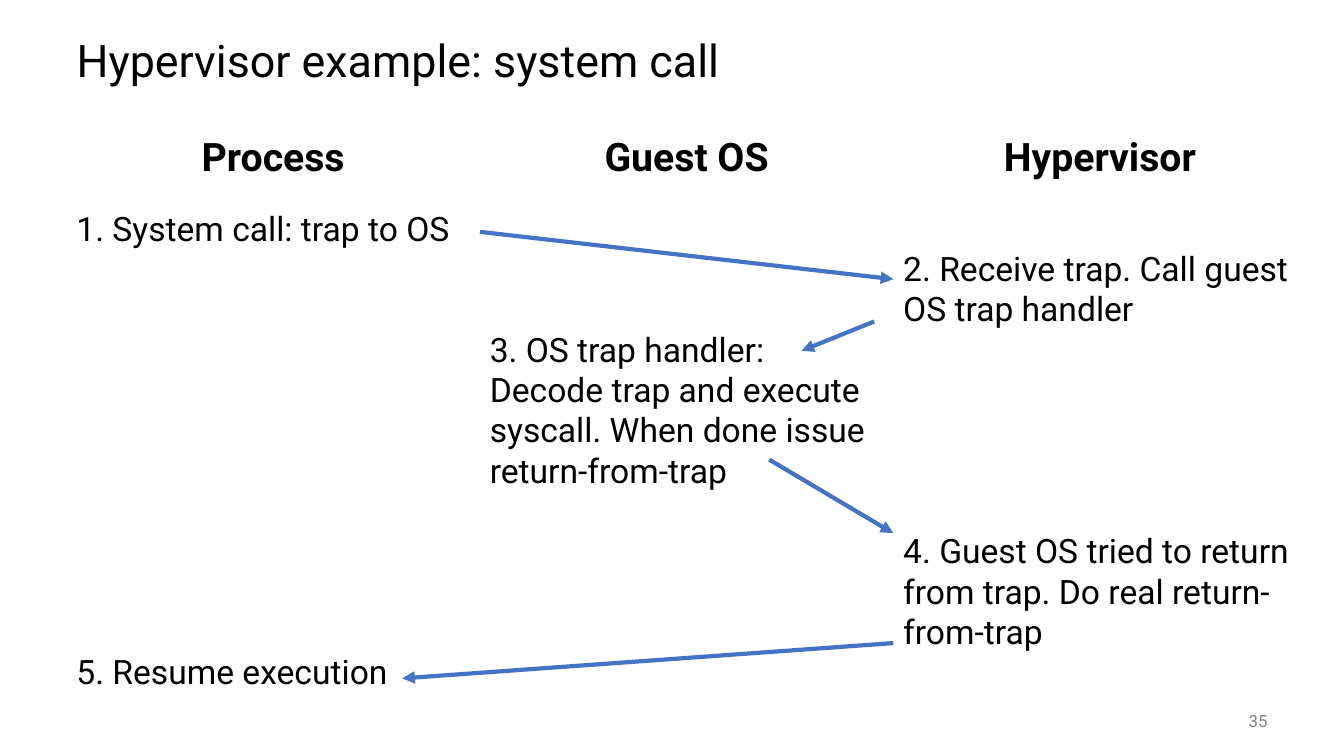
from lxml import etree
from pptx import Presentation
from pptx.dml.color import RGBColor
from pptx.enum.shapes import MSO_CONNECTOR
from pptx.enum.text import MSO_ANCHOR, MSO_AUTO_SIZE, PP_ALIGN
from pptx.oxml.ns import qn
from pptx.util import Inches, Pt

TITLE = "Hypervisor example: system call"
PAGE_NUMBER = "35"
COLUMNS = ["Process", "Guest OS", "Hypervisor"]
STEPS = [
    # column, row, lines, text
    (0, 0, 1, "1. System call: trap to OS"),
    (2, 1, 2, "2. Receive trap. Call guest OS trap handler"),
    (1, 3, 4, "3. OS trap handler: Decode trap and execute syscall. When done issue \vreturn-from-trap"),
    (2, 8, 3, "4. Guest OS tried to return from trap. Do real return-from-trap"),
    (0, 11, 1, "5. Resume execution"),
]
ARROWS = [
    ((4.76, 2.3), (8.86, 2.77)),
    ((8.67, 3.19), (7.95, 3.48)),
    ((7.63, 4.56), (8.86, 5.29)),
    ((8.86, 6.38), (3.99, 6.73)),
]

FONT = "Roboto"
BLACK, GREY, BLUE = "000000", "808080", "4472C4"
LEFT, COLUMN_WIDTH = 0.66, 4.1
HEADING_TOP, STEPS_TOP, ROW_HEIGHT = 1.26, 2.01, 0.4
INSET = 0.05


def color(hex_string):
    return RGBColor.from_string(hex_string)


def write(shape, text, size, hex_string=BLACK, bold=False,
          align=PP_ALIGN.LEFT, anchor=MSO_ANCHOR.TOP):
    frame = shape.text_frame
    frame.text = text
    frame.word_wrap = True
    frame.auto_size = MSO_AUTO_SIZE.NONE
    frame.vertical_anchor = anchor
    paragraph = frame.paragraphs[0]
    paragraph.alignment = align
    for run in paragraph.runs:
        run.font.name = FONT
        run.font.size = Pt(size)
        run.font.bold = bold
        run.font.color.rgb = color(hex_string)
    return paragraph


def add_text(slide, left, top, width, height, text, size, **style):
    box = slide.shapes.add_textbox(*map(Inches, (left, top, width, height)))
    return write(box, text, size, **style)


def add_arrow(slide, start, end):
    arrow = slide.shapes.add_connector(
        MSO_CONNECTOR.STRAIGHT, *map(Inches, start + end))
    arrow.line.color.rgb = color(BLUE)
    arrow.line.width = Pt(3)
    line = arrow.line._get_or_add_ln()
    etree.SubElement(line, qn("a:tailEnd"), type="triangle")
    etree.SubElement(arrow._element.spPr, qn("a:effectLst"))


def main():
    presentation = Presentation()
    presentation.slide_width = Inches(13.33)
    presentation.slide_height = Inches(7.5)
    slide = presentation.slides.add_slide(presentation.slide_layouts[5])

    title = slide.shapes.title
    title.left, title.top = Inches(LEFT), Inches(0.25)
    title.width, title.height = Inches(12), Inches(0.75)
    write(title, TITLE, 32, anchor=MSO_ANCHOR.MIDDLE).line_spacing = 0.9

    add_text(slide, 11.67, 6.95, 1, 0.4, PAGE_NUMBER, 12, hex_string=GREY,
             align=PP_ALIGN.RIGHT, anchor=MSO_ANCHOR.MIDDLE)

    for column, heading in enumerate(COLUMNS):
        add_text(slide, LEFT + column * COLUMN_WIDTH, HEADING_TOP,
                 COLUMN_WIDTH, 0.57, heading, 28, bold=True,
                 align=PP_ALIGN.CENTER)

    for column, row, lines, text in STEPS:
        add_text(slide, LEFT + column * COLUMN_WIDTH,
                 STEPS_TOP + row * ROW_HEIGHT, COLUMN_WIDTH,
                 lines * ROW_HEIGHT + 2 * INSET, text, 24)

    for start, end in ARROWS:
        add_arrow(slide, start, end)

    presentation.save("out.pptx")


if __name__ == "__main__":
    main()
